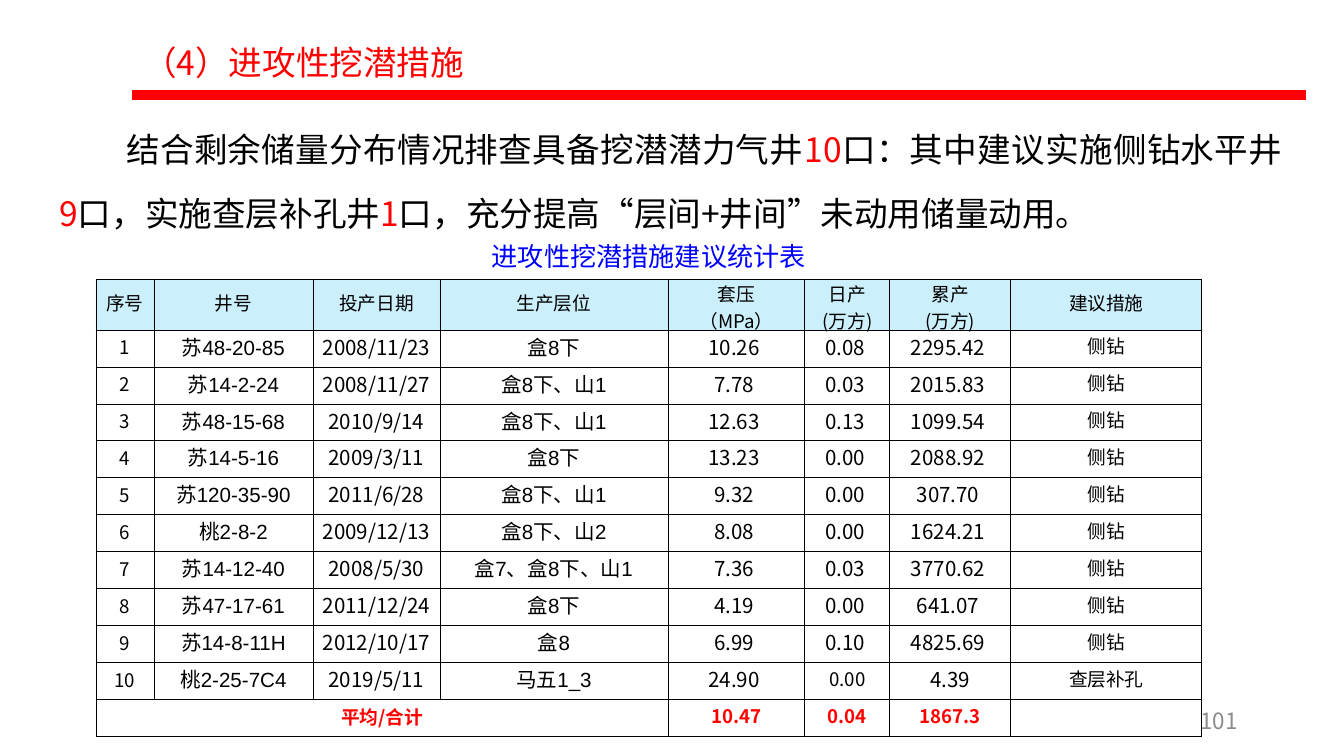
from lxml import etree
from pptx import Presentation
from pptx import util as u
from pptx.dml.color import RGBColor
from pptx.enum import shapes, text
from pptx.oxml.ns import qn

PX = 6804
COLORS = {"red": "FF0000", "black": "000000", "blue": "0000FF", "gray": "8C8C8C", "sky": "00B0F0"}
SANS = "Noto Sans CJK SC"
ALIGN = text.PP_ALIGN
MID = text.MSO_ANCHOR.MIDDLE
COLS = [58, 159, 127, 228, 137, 85, 121, 191]
ROWS = [51] + [37] * 11
HEADS = ["序号", "井号", "投产日期", "生产层位", "套压\n（MPa）", "日产\n(万方)", "累产\n(万方)", "建议措施"]
WELLS = [
    ["苏48-20-85", "2008/11/23", "盒8下", "10.26 ", "0.08 ", "2295.42 ", "侧钻"],
    ["苏14-2-24", "2008/11/27", "盒8下、山1", "7.78 ", "0.03 ", "2015.83 ", "侧钻"],
    ["苏48-15-68", "2010/9/14", "盒8下、山1", "12.63 ", "0.13 ", "1099.54 ", "侧钻"],
    ["苏14-5-16", "2009/3/11", "盒8下", "13.23 ", "0.00 ", "2088.92 ", "侧钻"],
    ["苏120-35-90", "2011/6/28", "盒8下、山1", "9.32 ", "0.00 ", "307.70 ", "侧钻"],
    ["桃2-8-2", "2009/12/13", "盒8下、山2", "8.08 ", "0.00 ", "1624.21 ", "侧钻"],
    ["苏14-12-40", "2008/5/30", "盒7、盒8下、山1", "7.36 ", "0.03 ", "3770.62 ", "侧钻"],
    ["苏47-17-61", "2011/12/24", "盒8下", "4.19 ", "0.00 ", "641.07 ", "侧钻"],
    ["苏14-8-11H", "2012/10/17", "盒8", "6.99 ", "0.10 ", "4825.69 ", "侧钻"],
    ["桃2-25-7C4", "2019/5/11", "马五1_3", "24.90 ", "0.00", "4.39", "查层补孔"],
]
TOTALS = ["平均/合计", "", "", "", "10.47", "0.04", "1867.3", ""]


def px(n):
    return u.Emu(n * PX)


def rgb(name):
    return RGBColor.from_string(COLORS[name])


def write(frame, parts, size=10, font=SANS, color="black", bold=False, align=ALIGN.CENTER, lead=None, indent=0):
    if isinstance(parts, str):
        lines = [[(line, color)] for line in parts.split("\n")]
    else:
        lines = [parts]
    for i, line in enumerate(lines):
        para = frame.add_paragraph() if i else frame.paragraphs[0]
        para.alignment = align
        para.font.size = u.Pt(size)
        if lead:
            para.line_spacing = lead
        if indent:
            para._p.get_or_add_pPr().set("indent", str(px(indent)))
        for words, tint in line:
            if not words:
                continue
            run = para.add_run()
            run.text = words
            face = run.font
            face.size, face.name, face.bold = u.Pt(size), font, bold
            face.color.rgb = rgb(tint)
            etree.SubElement(run._r.rPr, qn("a:ea"), typeface=SANS)


def label(slide, box, parts, grow=True, anchor=text.MSO_ANCHOR.TOP, pad=None, **form):
    frame = slide.shapes.add_textbox(*map(px, box)).text_frame
    frame.word_wrap = True
    frame.vertical_anchor = anchor
    if grow:
        frame.auto_size = text.MSO_AUTO_SIZE.SHAPE_TO_FIT_TEXT
    if pad:
        frame.margin_left = frame.margin_right = px(pad[0])
        frame.margin_top = frame.margin_bottom = px(pad[1])
    write(frame, parts, **form)


def header(slide, box):
    x, y, w, h = box
    rule = slide.shapes.add_connector(shapes.MSO_CONNECTOR.STRAIGHT, px(x + 2), px(y + 84), px(x + 1176), px(y + 84))
    rule.line.color.rgb = rgb("red")
    rule.line.width = u.Pt(5.25)
    etree.SubElement(rule._element.spPr, qn("a:effectLst"))
    label(slide, box, "（4）进攻性挖潜措施", size=18, color="red", align=ALIGN.JUSTIFY, lead=1.6)


def summary(slide, box):
    parts = [
        ("结合剩余储量分布情况排查具备挖潜潜力气井", "black"), ("10", "red"),
        ("口：其中建议实施侧钻水平井", "black"), ("9", "red"),
        ("口，实施查层补孔井", "black"), ("1", "red"),
        ("口，充分提高“层间+井间”未动用储量动用。", "black"),
    ]
    label(slide, box, parts, size=18, align=ALIGN.JUSTIFY, lead=1.6, indent=67)


def border(cell):
    props = cell._tc.get_or_add_tcPr()
    for i, side in enumerate(("lnL", "lnR", "lnT", "lnB")):
        line = etree.Element(qn("a:" + side), w=str(u.Pt(0.5)))
        fill = etree.SubElement(line, qn("a:solidFill"))
        etree.SubElement(fill, qn("a:srgbClr"), val=COLORS["black"])
        props.insert(i, line)


def style(row, col, value):
    if row == 0 or col == 0:
        return {}
    if row == len(ROWS) - 1:
        return {"color": "red", "bold": True}
    if col == 7 or value == "0.00":
        return {}
    return {"size": 11, "font": "Arial" if col in (1, 3) else SANS}


def stats(slide, box):
    x, y, w, h = box
    label(slide, (x, y, w, 42), "进攻性挖潜措施建议统计表", size=14, font="Times New Roman", color="blue", pad=(9, 5))
    top = 44
    grid = slide.shapes.add_table(len(ROWS), len(COLS), px(x), px(y + top), px(w), px(h - top)).table
    for col, size in zip(grid.columns, COLS):
        col.width = px(size)
    for row, size in zip(grid.rows, ROWS):
        row.height = px(size)
    data = [HEADS] + [[str(i)] + well for i, well in enumerate(WELLS, 1)] + [TOTALS]
    for r, line in enumerate(data):
        for c, value in enumerate(line):
            cell = grid.cell(r, c)
            cell.margin_left = cell.margin_right = cell.margin_top = px(1)
            cell.margin_bottom = px(6 if r and c else 5)
            cell.vertical_anchor = MID
            if r:
                cell.fill.background()
            else:
                cell.fill.solid()
                cell.fill.fore_color.rgb = rgb("sky")
                shade = cell._tc.tcPr.find(".//" + qn("a:srgbClr"))
                etree.SubElement(shade, qn("a:alpha"), val="20000")
            border(cell)
            form = {"bold": False, **style(r, c, value)}
            if r == len(ROWS) - 1:
                form.update(color="red", bold=True)
            write(cell.text_frame, value, **form)
    last = len(ROWS) - 1
    grid.cell(last, 0).merge(grid.cell(last, 3))


def build():
    deck = Presentation()
    deck.slide_width, deck.slide_height = px(1344), px(756)
    slide = deck.slides.add_slide(deck.slide_layouts[6])
    header(slide, (130, 11, 1249, 78))
    label(slide, (949, 700, 302, 40), "101", grow=False, anchor=MID, size=12, color="gray", align=ALIGN.RIGHT)
    summary(slide, (46, 98, 1250, 144))
    stats(slide, (96, 235, 1106, 502))
    deck.save("out.pptx")


if __name__ == "__main__":
    build()
